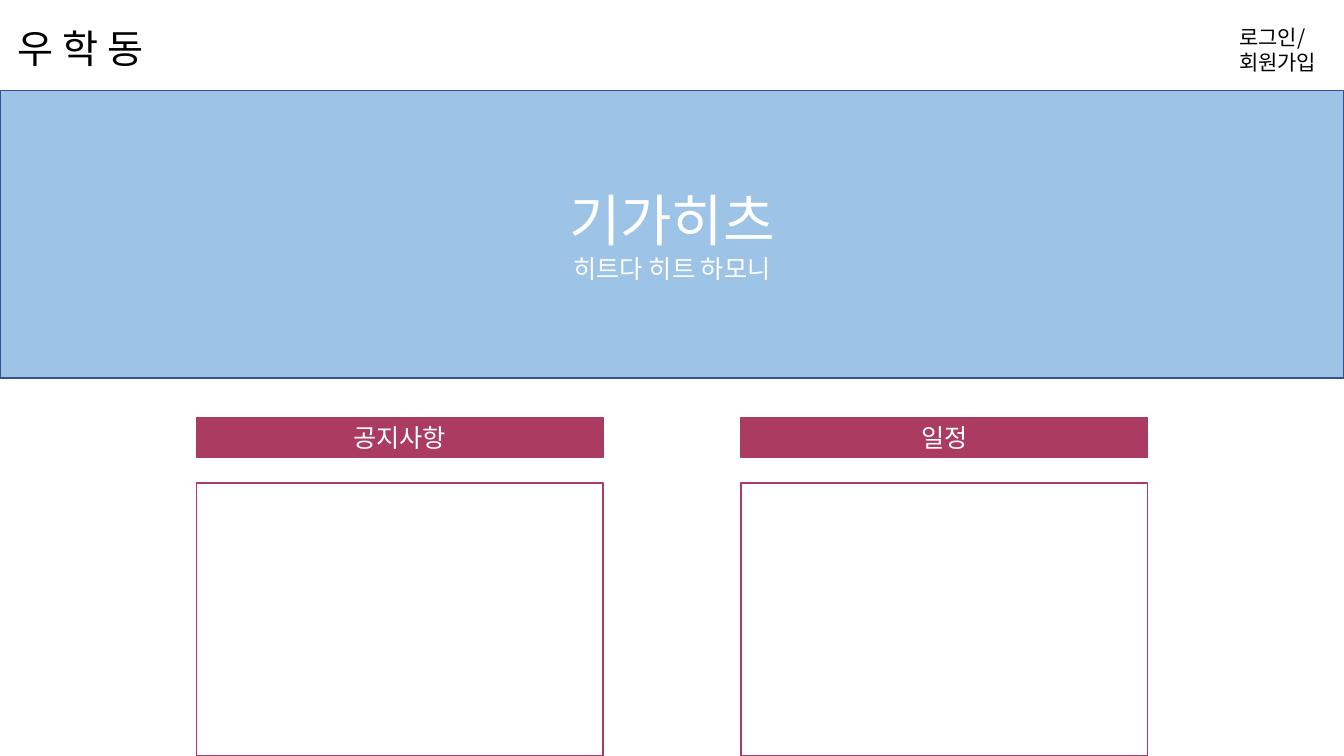
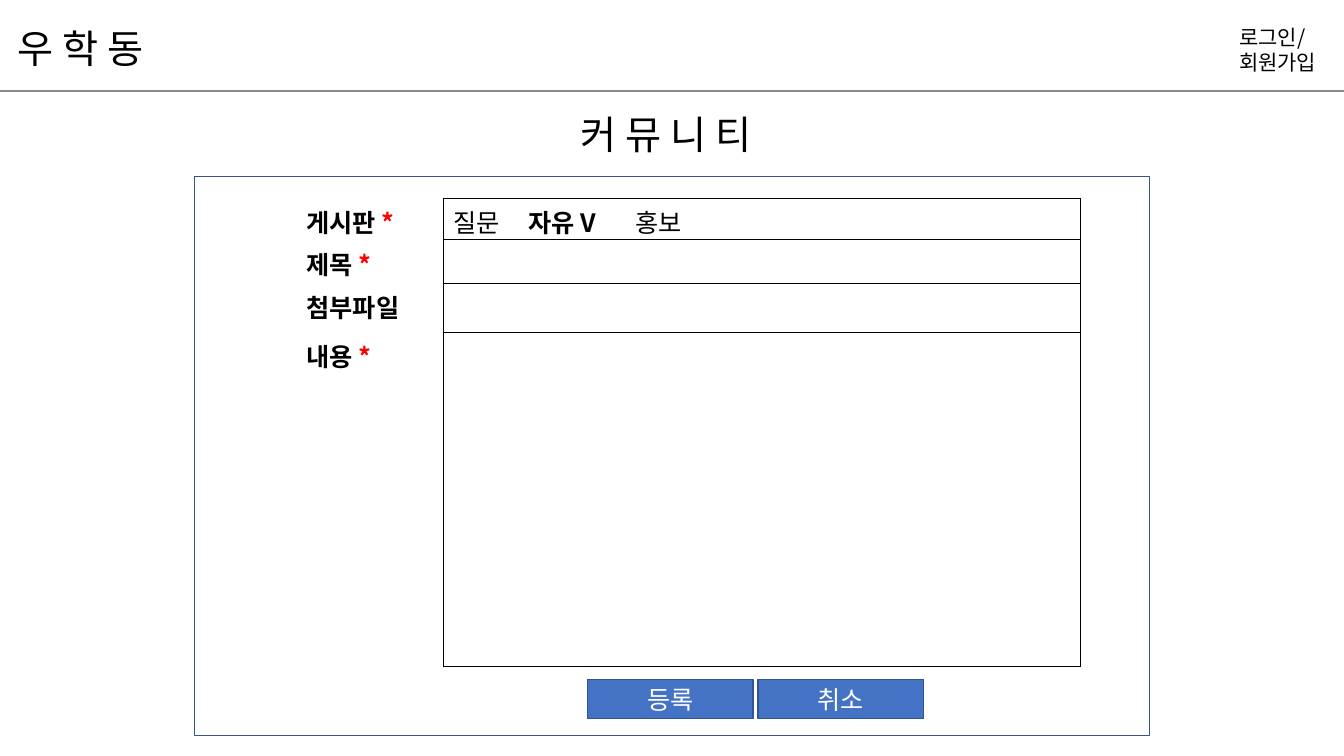
from lxml.etree import SubElement
from pptx import Presentation
from pptx.dml.color import RGBColor
from pptx.enum.shapes import MSO_CONNECTOR, MSO_SHAPE
from pptx.enum.text import MSO_ANCHOR, MSO_AUTO_SIZE, PP_ALIGN
from pptx.oxml.ns import qn
from pptx.util import Inches, Pt

# Shared style
FONT = "Noto Sans CJK KR"
BLACK, WHITE, RED = "000000", "FFFFFF", "FF0000"
GRAY, NAVY, SKY, BLUE = "8B8A86", "325491", "9DC3E6", "4472C4"
WINE, DARK_WINE = "AC3B61", "A83B61"
PAGE_WIDTH, PAGE_HEIGHT, HEADER_HEIGHT = 13.33, 7.5, 0.9


def color(value):
    return RGBColor.from_string(value)


def add_span(para, text, size=18, ink=BLACK, bold=False):
    span = para.add_run()
    span.text = text
    span.font.name = FONT
    span.font.size = Pt(size)
    span.font.bold = bold
    span.font.color.rgb = color(ink)
    SubElement(span.font._element, qn("a:ea")).set("typeface", FONT)


def write(frame, *lines, align=PP_ALIGN.LEFT, **style):
    """Each line is a string or a (text, format) pair."""
    for index, line in enumerate(lines):
        text, extra = (line, {}) if isinstance(line, str) else line
        para = frame.add_paragraph() if index else frame.paragraphs[0]
        para.alignment = align
        add_span(para, text, **{**style, **extra})


def place(shape, left, top, width, height):
    shape.left, shape.top = Inches(left), Inches(top)
    shape.width, shape.height = Inches(width), Inches(height)


def paint(shape, fill, line):
    if fill:
        shape.fill.solid()
        shape.fill.fore_color.rgb = color(fill)
    else:
        shape.fill.background()
    shape.line.color.rgb = color(line)
    shape.line.width = Pt(1)


def add_box(page, area, fill, line, label=None):
    box = page.shapes.add_shape(MSO_SHAPE.RECTANGLE, *map(Inches, area))
    box.shadow.inherit = False
    paint(box, fill, line)
    if label:
        box.text_frame.vertical_anchor = MSO_ANCHOR.MIDDLE
        write(box.text_frame, label, align=PP_ALIGN.CENTER, ink=WHITE)


def add_text(page, area, *lines, **style):
    box = page.shapes.add_textbox(*map(Inches, area))
    box.text_frame.word_wrap = True
    write(box.text_frame, *lines, **style)


def add_page(deck):
    """Title-only page with the site header."""
    page = deck.slides.add_slide(deck.slide_layouts[5])
    rule = page.shapes.add_connector(
        MSO_CONNECTOR.STRAIGHT, 0, Inches(HEADER_HEIGHT),
        Inches(PAGE_WIDTH), Inches(HEADER_HEIGHT))
    rule.line.color.rgb = color(GRAY)
    rule.line.width = Pt(1.5)
    SubElement(rule._element.spPr, qn("a:effectLst"))
    add_text(page, (12.19, 0.19, 1.15, 0.61), "로그인/", "회원가입", size=15)
    add_text(page, (0.08, 0.19, 1.72, 0.57), "우 학 동", size=28)
    return page


def set_title(page, area, *lines, anchor=MSO_ANCHOR.TOP, **style):
    title = page.shapes.title
    place(title, *area)
    frame = title.text_frame
    frame.auto_size = MSO_AUTO_SIZE.NONE
    frame.word_wrap = True
    frame.vertical_anchor = anchor
    write(frame, *lines, **style)
    return title


def border_cell(cell):
    properties = cell._tc.get_or_add_tcPr()
    for position, side in enumerate(("lnL", "lnR", "lnT", "lnB")):
        line = properties.makeelement(qn(f"a:{side}"), {"w": str(Pt(1))})
        fill = SubElement(line, qn("a:solidFill"))
        SubElement(fill, qn("a:srgbClr")).set("val", BLACK)
        properties.insert(position, line)


def add_tab_stops(para, *stops):
    tabs = SubElement(para._p.get_or_add_pPr(), qn("a:tabLst"))
    for stop in stops:
        SubElement(tabs, qn("a:tab"), pos=str(Inches(stop)), algn="l")


def add_form(page):
    fields = [("게시판", True, 0.41), ("제목", True, 0.43),
              ("첨부파일", False, 0.49), ("내용", True, 3.31)]
    widths = (1.46, 6.32)
    table = page.shapes.add_table(
        len(fields), 2, Inches(2.94), Inches(1.97),
        Inches(sum(widths)), Inches(sum(field[2] for field in fields))).table
    table.first_row = table.horz_banding = False
    for column, width in zip(table.columns, widths):
        column.width = Inches(width)
    for row, (name, required, height) in zip(table.rows, fields):
        row.height = Inches(height)
        for cell in row.cells:
            cell.fill.solid()
            cell.fill.fore_color.rgb = color(WHITE)
        label, entry = row.cells
        border_cell(entry)
        para = label.text_frame.paragraphs[0]
        add_span(para, name + (" " if required else ""), bold=True)
        if required:
            add_span(para, "*", bold=True, ink=RED)

    # Board choices, with the selected one in bold
    choices = table.cell(0, 1).text_frame.paragraphs[0]
    add_tab_stops(choices, 0.74, 1.8)
    add_span(choices, "질문\t")
    add_span(choices, "자유 V", bold=True)
    add_span(choices, "\t홍보")


def build_home(deck):
    page = add_page(deck)

    # Banner, in front of the header rule
    banner = set_title(
        page, (0, HEADER_HEIGHT, PAGE_WIDTH, 2.85),
        ("기가히츠", {"size": 40}), "히트다 히트 하모니",
        anchor=MSO_ANCHOR.MIDDLE, align=PP_ALIGN.CENTER, ink=WHITE)
    paint(banner, SKY, NAVY)
    page.shapes._spTree.append(banner._element)

    # Panels
    width, top = 4.03, 4.79
    for left, heading in ((1.95, "공지사항"), (7.35, "일정")):
        add_box(page, (left, 4.14, width, 0.4), WINE, DARK_WINE, heading)
        add_box(page, (left, top, width, PAGE_HEIGHT - top), None, WINE)


def build_community(deck):
    page = add_page(deck)
    set_title(page, (5.66, 1.04, 2.01, 0.57), "커 뮤 니 티", size=28)
    add_form(page)
    add_box(page, (1.93, 1.75, 9.47, 5.55), None, NAVY)

    # Buttons
    for left, label in ((5.83, "등록"), (7.52, "취소")):
        add_box(page, (left, 6.74, 1.64, 0.39), BLUE, NAVY, label)


def main():
    deck = Presentation()
    deck.slide_width = Inches(PAGE_WIDTH)
    deck.slide_height = Inches(PAGE_HEIGHT)
    build_home(deck)
    build_community(deck)
    deck.save("out.pptx")


if __name__ == "__main__":
    main()
